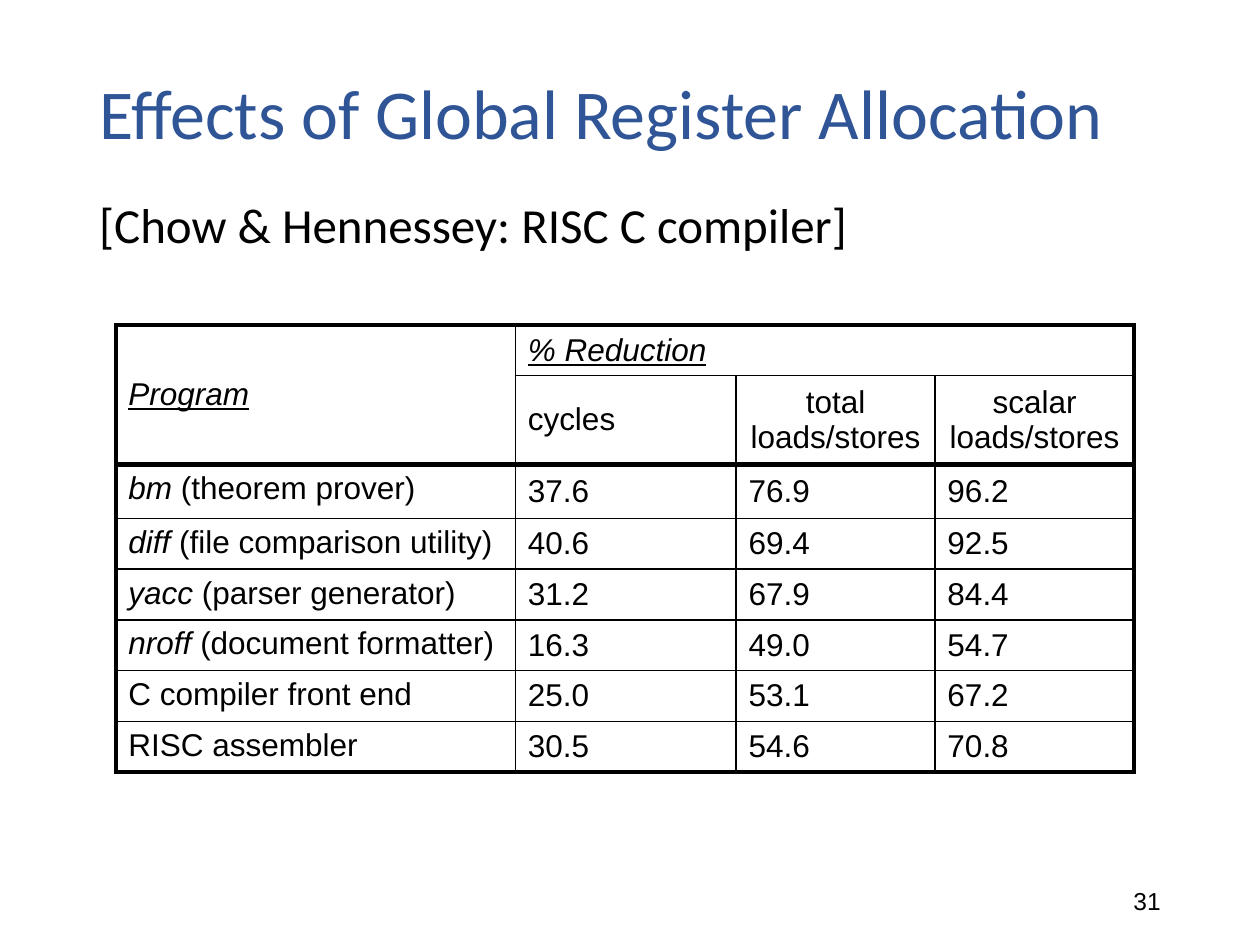
"""Build the slide on the effects of global register allocation."""
from lxml.etree import SubElement
from pptx import Presentation
from pptx.dml.color import RGBColor
from pptx.enum.text import MSO_ANCHOR as Anchor, PP_ALIGN as Align
from pptx.oxml.ns import qn
from pptx.util import Cm, Pt

COLORS = {"title": "2F5597", "ink": "000000"}
ROW_EDGES = {0: 2.25, 2: 3, 8: 2.25}
COLUMN_EDGES = {0: 2.25, 4: 2.25}
COLUMN_WIDTHS = [8.05, 4.45, 4.01, 4.01]
ROW_HEIGHTS = [1.02, 1.78, 1.09] + [1.02] * 5
RESULTS = [
    ("bm", " (theorem prover)", "37.6", "76.9", "96.2"),
    ("diff", " (file comparison utility)", "40.6", "69.4", "92.5"),
    ("yacc", " (parser generator)", "31.2", "67.9", "84.4"),
    ("nroff", " (document formatter)", "16.3", "49.0", "54.7"),
    ("", "C compiler front end", "25.0", "53.1", "67.2"),
    ("", "RISC assembler", "30.5", "54.6", "70.8"),
]


def write(paragraph, text, size=18, font="Arial", color="ink", italic=False,
          underline=False, align=Align.LEFT, spacing=1.0):
    paragraph.alignment = align
    paragraph.line_spacing = spacing
    run = paragraph.add_run()
    run.text = text
    run.font.size = Pt(size)
    run.font.name = font
    run.font.italic = italic
    run.font.underline = underline
    run.font.color.rgb = RGBColor.from_string(COLORS[color])


class SlideBuilder:
    def __init__(self, slide):
        self.slide = slide
        self.heading_style = {"font": "Calibri", "spacing": 0.9}

    def title(self, text, left, top, width, height):
        holder = self.slide.shapes.title
        holder.left, holder.top = Cm(left), Cm(top)
        holder.width, holder.height = Cm(width), Cm(height)
        holder.text_frame.vertical_anchor = Anchor.MIDDLE
        write(holder.text_frame.paragraphs[0], text, size=40, color="title",
              **self.heading_style)

    def text(self, text, left, top, width, height, anchor=Anchor.TOP, **style):
        box = self.slide.shapes.add_textbox(Cm(left), Cm(top), Cm(width), Cm(height))
        box.text_frame.word_wrap = True
        box.text_frame.vertical_anchor = anchor
        write(box.text_frame.paragraphs[0], text, **style)

    def table(self, left, top, widths, heights):
        frame = self.slide.shapes.add_table(
            len(heights), len(widths), Cm(left), Cm(top),
            Cm(sum(widths)), Cm(sum(heights)))
        grid = frame.table
        grid.first_row = grid.horz_banding = False
        for column, width in zip(grid.columns, widths):
            column.width = Cm(width)
        for row, height in zip(grid.rows, heights):
            row.height = Cm(height)
        return grid

    def cell(self, grid, row, column, anchor=Anchor.MIDDLE):
        cell = grid.cell(row, column)
        cell.vertical_anchor = anchor
        cell.margin_left = cell.margin_right = Cm(0.25)
        cell.margin_top = cell.margin_bottom = Cm(0.13)
        edges = {
            "a:lnL": COLUMN_EDGES.get(column, 1),
            "a:lnR": COLUMN_EDGES.get(column + cell.span_width, 1),
            "a:lnT": ROW_EDGES.get(row, 1),
            "a:lnB": ROW_EDGES.get(row + cell.span_height, 1),
        }
        properties = cell._tc.get_or_add_tcPr()
        for tag, weight in edges.items():
            line = SubElement(properties, qn(tag), w=str(Pt(weight)))
            fill = SubElement(line, qn("a:solidFill"))
            SubElement(fill, qn("a:srgbClr"), val=COLORS["ink"])
        cell.fill.background()
        return cell.text_frame.paragraphs[0]


deck = Presentation()
deck.slide_width, deck.slide_height = Cm(25.4), Cm(19.05)
builder = SlideBuilder(deck.slides.add_slide(deck.slide_layouts[5]))

builder.title("Effects of Global Register Allocation", 1.75, 1.02, 21.9, 2.67)
builder.text("[Chow & Hennessey: RISC C compiler]", 1.75, 3.94, 21.9, 1.85,
             size=28, **builder.heading_style)
builder.text("31", 17.93, 17.65, 5.72, 1.02, anchor=Anchor.MIDDLE,
             size=14, align=Align.RIGHT)

reductions = builder.table(2.34, 6.55, COLUMN_WIDTHS, ROW_HEIGHTS)
reductions.cell(0, 0).merge(reductions.cell(1, 0))
reductions.cell(0, 1).merge(reductions.cell(0, 3))

for column, heading in enumerate(["Program", "% Reduction"]):
    write(builder.cell(reductions, 0, column), heading, italic=True, underline=True)
for column, measure in enumerate(
        ["cycles", "total loads/stores", "scalar loads/stores"], start=1):
    write(builder.cell(reductions, 1, column), measure,
          align=Align.LEFT if column == 1 else Align.CENTER)

for row, (command, description, *percentages) in enumerate(RESULTS, start=2):
    program = builder.cell(reductions, row, 0, anchor=Anchor.TOP)
    if command:
        write(program, command, italic=True)
    write(program, description)
    for column, percentage in enumerate(percentages, start=1):
        write(builder.cell(reductions, row, column), percentage)

deck.save("out.pptx")
